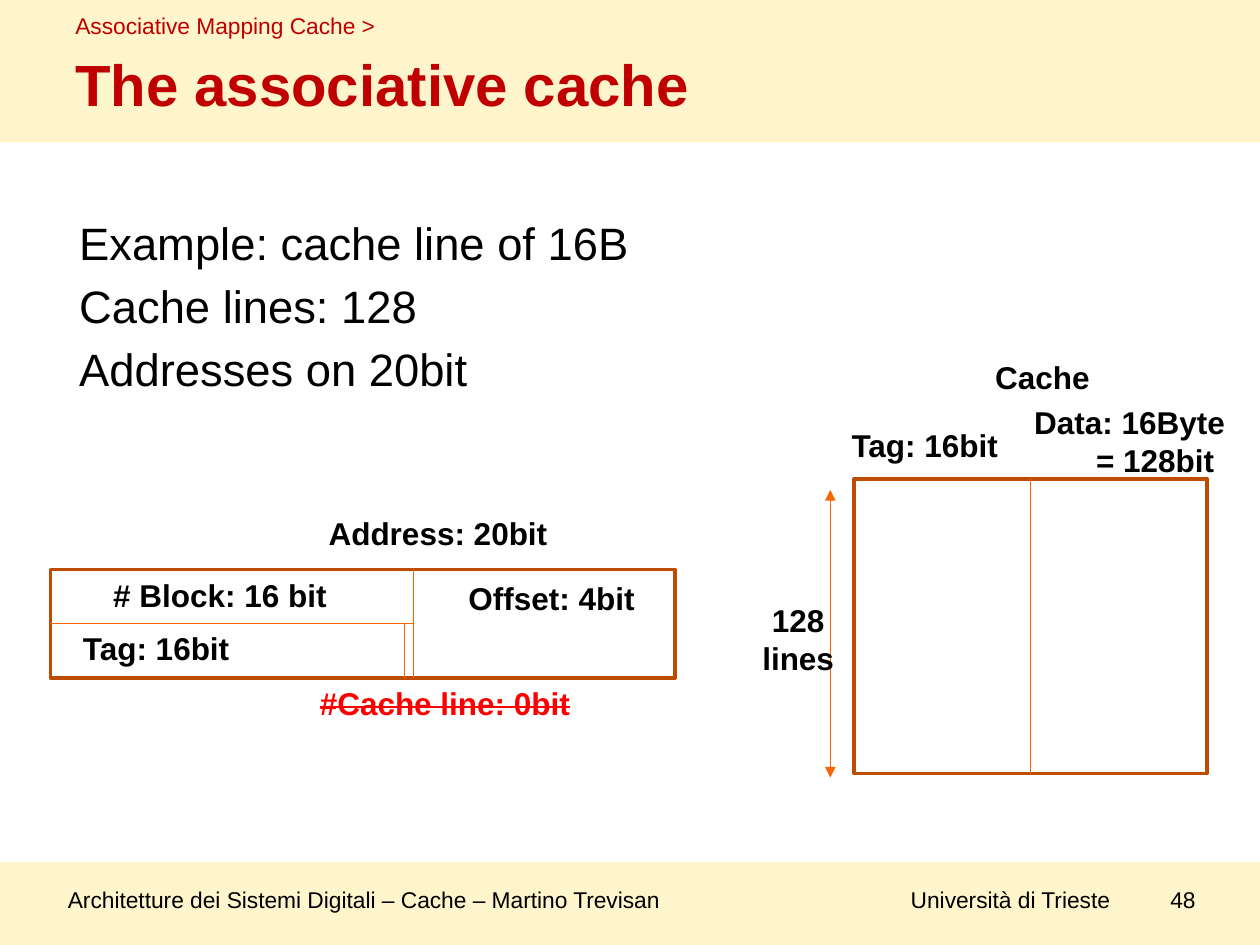
from dataclasses import dataclass

import pptx
import pptx.dml.color
import pptx.enum.shapes
import pptx.enum.text
import pptx.oxml
import pptx.oxml.ns
import pptx.util
from pptx.util import Inches

Anchor = pptx.enum.text.MSO_ANCHOR
Align = pptx.enum.text.PP_ALIGN


@dataclass(frozen=True)
class Theme:
    font: str = "Arial"
    band: str = "FFF5CC"
    heading: str = "C00000"
    text: str = "000000"
    struck: str = "FF0000"
    frame: str = "BD4B00"
    rule: str = "F96400"
    title_size: float = 33.2
    body_size: float = 25.9
    label_size: float = 18
    small_size: float = 13
    frame_width: float = 2
    rule_width: float = 0.75


THEME = Theme()


@dataclass(frozen=True)
class Box:
    left: float
    top: float
    width: float
    height: float

    @property
    def right(self) -> float:
        return self.left + self.width

    @property
    def bottom(self) -> float:
        return self.top + self.height

    @property
    def middle(self) -> float:
        return self.top + self.height / 2

    @property
    def center(self) -> float:
        return self.left + self.width / 2

    def lengths(self) -> list:
        return [Inches(v) for v in (self.left, self.top, self.width, self.height)]


@dataclass(frozen=True)
class Text:
    box: Box
    lines: tuple
    size: float = THEME.label_size
    color: str = THEME.text
    bold: bool = True
    strike: bool = False
    align: Align = Align.LEFT
    anchor: Anchor = Anchor.TOP
    space_after: float = 0
    last_indent: float = 0


def rgb(value: str) -> pptx.dml.color.RGBColor:
    return pptx.dml.color.RGBColor.from_string(value)


def draw_text(slide, item: Text) -> None:
    frame = slide.shapes.add_textbox(*item.box.lengths()).text_frame
    frame.word_wrap = True
    frame.vertical_anchor = item.anchor
    for index, line in enumerate(item.lines):
        paragraph = frame.add_paragraph() if index else frame.paragraphs[0]
        paragraph.alignment = item.align
        paragraph.space_after = pptx.util.Pt(item.space_after)
        if item.last_indent and index == len(item.lines) - 1:
            paragraph._p.get_or_add_pPr().set("marL", str(Inches(item.last_indent)))
        run = paragraph.add_run()
        run.text = line
        run.font.name = THEME.font
        run.font.size = pptx.util.Pt(item.size)
        run.font.bold = item.bold
        run.font.color.rgb = rgb(item.color)
        if item.strike:
            run._r.get_or_add_rPr().set("strike", "sngStrike")


def draw_rectangle(slide, box: Box, fill: str = "", line: str = ""):
    shape = slide.shapes.add_shape(
        pptx.enum.shapes.MSO_SHAPE.RECTANGLE, *box.lengths())
    shape.shadow.inherit = False
    if fill:
        shape.fill.solid()
        shape.fill.fore_color.rgb = rgb(fill)
    else:
        shape.fill.background()
    if line:
        shape.line.color.rgb = rgb(line)
        shape.line.width = pptx.util.Pt(THEME.frame_width)
    else:
        shape.line.fill.background()
    return shape


def draw_rule(slide, x1: float, y1: float, x2: float, y2: float, arrows: bool = False):
    rule = slide.shapes.add_connector(
        pptx.enum.shapes.MSO_CONNECTOR.STRAIGHT,
        Inches(x1), Inches(y1), Inches(x2), Inches(y2))
    rule.line.color.rgb = rgb(THEME.rule)
    rule.line.width = pptx.util.Pt(THEME.rule_width)
    if arrows:
        outline = rule.line._get_or_add_ln()
        for end in ("a:headEnd", "a:tailEnd"):
            outline.append(pptx.oxml.xmlchemy.OxmlElement(end))
            outline[-1].set("type", "triangle")
    rule._element.spPr.append(pptx.oxml.xmlchemy.OxmlElement("a:effectLst"))
    return rule


def main() -> None:
    deck = pptx.Presentation()
    deck.slide_width, deck.slide_height = Inches(10), Inches(7.5)
    slide = deck.slides.add_slide(deck.slide_layouts[6])

    # Header and footer bands
    for band in (Box(0, 6.84, 10, 0.66), Box(0, 0, 10, 1.13)):
        draw_rectangle(slide, band, fill=THEME.band)

    footer = (
        (0.44, 5.21, "Architetture dei Sistemi Digitali – Cache – Martino Trevisan"),
        (9.19, 0.6, "48"),
        (7.13, 1.87, "Università di Trieste"),
    )
    for left, width, words in footer:
        draw_text(slide, Text(Box(left, 6.92, width, 0.43), (words,),
                              THEME.small_size, bold=False, anchor=Anchor.MIDDLE))

    # Title, section and body
    draw_text(slide, Text(Box(0.5, 0.44, 8.94, 0.55), ("The associative cache",),
                          THEME.title_size, THEME.heading, anchor=Anchor.BOTTOM))
    draw_text(slide, Text(Box(0.5, 0, 8.94, 0.4), ("Associative Mapping Cache >",),
                          THEME.small_size, THEME.heading, bold=False,
                          anchor=Anchor.MIDDLE))
    draw_text(slide, Text(
        Box(0.53, 1.66, 8.91, 4.7),
        ("Example: cache line of 16B", "Cache lines: 128", "Addresses on 20bit"),
        THEME.body_size, bold=False, space_after=5))

    # Address layout
    address = Box(0.4, 4.52, 4.96, 0.86)
    offset_left, line_left = 3.28, 3.21
    address_frame = draw_rectangle(slide, address, line=THEME.frame)
    draw_rule(slide, offset_left, address.top, offset_left, address.bottom)
    block_rule = draw_rule(slide, address.left, address.middle,
                           offset_left, address.middle)
    block_rule.begin_connect(address_frame, 1)
    draw_rule(slide, line_left, address.middle, line_left, address.bottom)

    # Cache layout
    cache = Box(6.78, 3.8, 2.8, 2.34)
    cache_frame = draw_rectangle(slide, cache, line=THEME.frame)
    data_rule = draw_rule(slide, cache.center, cache.top, cache.center, cache.bottom)
    data_rule.begin_connect(cache_frame, 0)
    data_rule.end_connect(cache_frame, 2)
    draw_rule(slide, 6.59, 3.89, 6.59, 6.17, arrows=True)

    # Labels of both layouts
    labels = (
        Text(Box(0.8, 4.52, 2.07, 0.4), ("# Block: 16 bit",)),
        Text(Box(3.62, 4.55, 1.74, 0.4), ("Offset: 4bit",)),
        Text(Box(2.51, 4.03, 2, 0.4), ("Address: 20bit",)),
        Text(Box(2.44, 5.38, 2.34, 0.4), ("#Cache line: 0bit",),
             color=THEME.struck, strike=True),
        Text(Box(0.56, 4.94, 1.81, 0.4), ("Tag: 16bit",)),
        Text(Box(7.8, 2.79, 1.14, 0.4), ("Cache",)),
        Text(Box(8.11, 3.15, 1.81, 0.71), ("Data: 16Byte", "= 128bit"),
             last_indent=0.49),
        Text(Box(6.66, 3.33, 1.81, 0.4), ("Tag: 16bit",)),
        Text(Box(5.43, 4.72, 1.81, 0.71), ("128", "lines"), align=Align.CENTER),
    )
    for label in labels:
        draw_text(slide, label)

    deck.save("out.pptx")


if __name__ == "__main__":
    main()
